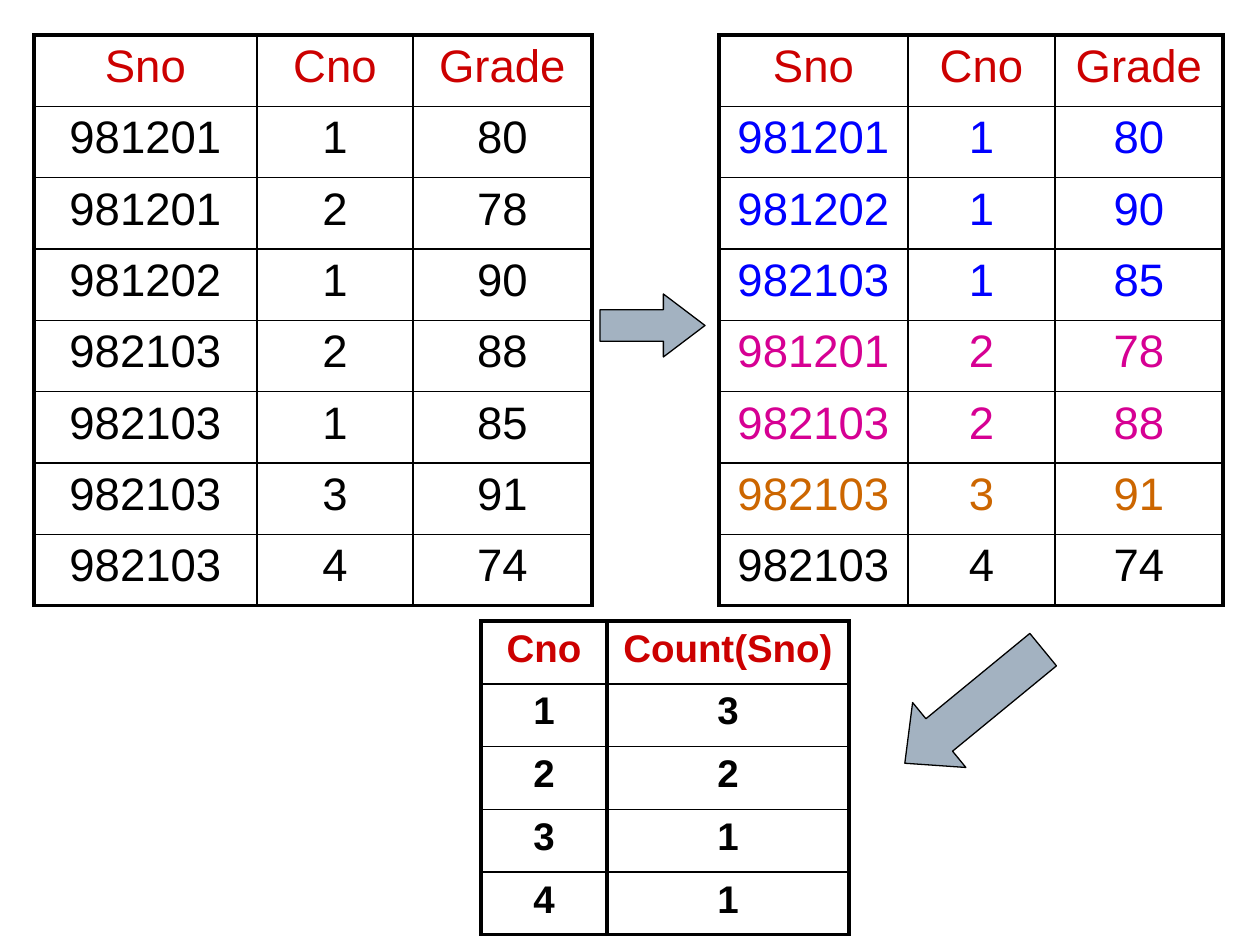
from dataclasses import dataclass

import pptx
import pptx.dml.color
import pptx.enum.shapes
import pptx.enum.text
import pptx.oxml
import pptx.oxml.ns
import pptx.presentation
import pptx.slide
import pptx.util

RGBColor = pptx.dml.color.RGBColor
MSO_SHAPE = pptx.enum.shapes.MSO_SHAPE

PX_PER_INCH = 126
SLIDE_WIDTH, SLIDE_HEIGHT = 1260, 945

BLACK = RGBColor(0x00, 0x00, 0x00)
RED = RGBColor(0xCC, 0x00, 0x00)
BLUE = RGBColor(0x00, 0x00, 0xFF)
MAGENTA = RGBColor(0xD6, 0x00, 0x93)
ORANGE = RGBColor(0xCC, 0x66, 0x00)
STEEL = RGBColor(0xA3, 0xB2, 0xC1)

THICK, THIN = 2.25, 1


def px(length: int) -> pptx.util.Emu:
    return pptx.util.Emu(round(length * pptx.util.Inches(1) / PX_PER_INCH))


@dataclass(frozen=True)
class Row:
    values: tuple[str, ...]
    color: RGBColor = BLACK


@dataclass(frozen=True)
class Grid:
    left: int
    top: int
    height: int
    columns: tuple[int, ...]
    rows: tuple[Row, ...]
    size: int = 26
    bold: bool = False
    divider: float = THIN


@dataclass(frozen=True)
class BlockArrow:
    kind: MSO_SHAPE
    left: int
    top: int
    width: int
    height: int
    head: float
    rotation: float = 0


# Content
GRADE_HEADER = Row(("Sno", "Cno", "Grade"), RED)

GRADES = Grid(34, 35, 571, (223, 156, 179), (
    GRADE_HEADER,
    Row(("981201", "1", "80")),
    Row(("981201", "2", "78")),
    Row(("981202", "1", "90")),
    Row(("982103", "2", "88")),
    Row(("982103", "1", "85")),
    Row(("982103", "3", "91")),
    Row(("982103", "4", "74")),
))

GROUPED_GRADES = Grid(719, 35, 571, (189, 147, 168), (
    GRADE_HEADER,
    Row(("981201", "1", "80"), BLUE),
    Row(("981202", "1", "90"), BLUE),
    Row(("982103", "1", "85"), BLUE),
    Row(("981201", "2", "78"), MAGENTA),
    Row(("982103", "2", "88"), MAGENTA),
    Row(("982103", "3", "91"), ORANGE),
    Row(("982103", "4", "74")),
))

COUNTS = Grid(481, 621, 314, (126, 242), (
    Row(("Cno", "Count(Sno)"), RED),
    Row(("1", "3")),
    Row(("2", "2")),
    Row(("3", "1")),
    Row(("4", "1")),
), size=22, bold=True, divider=THICK)

ARROWS = (
    BlockArrow(MSO_SHAPE.RIGHT_ARROW, 600, 294, 105, 63, head=0.66),
    BlockArrow(MSO_SHAPE.DOWN_ARROW, 932, 617, 84, 179, head=0.53, rotation=50.6),
)


def write_text(cell, text: str, *, size: int, color: RGBColor, bold: bool = False,
               font: str = "Arial") -> None:
    para = cell.text_frame.paragraphs[0]
    para.alignment = pptx.enum.text.PP_ALIGN.CENTER
    span = para.add_run()
    span.text = text
    span.font.name = font
    span.font.size = pptx.util.Pt(size)
    span.font.bold = bold
    span.font.color.rgb = color


def set_borders(cell, left: float, right: float, top: float, bottom: float) -> None:
    properties = cell._tc.get_or_add_tcPr()
    for side, width in zip("LRTB", (left, right, top, bottom)):
        properties.append(pptx.oxml.parse_xml(
            f'<a:ln{side} {pptx.oxml.ns.nsdecls("a")} w="{pptx.util.Pt(width)}">'
            f'<a:solidFill><a:srgbClr val="{BLACK}"/></a:solidFill></a:ln{side}>'))


def draw_grid(page: pptx.slide.Slide, grid: Grid) -> None:
    last_row, last_column = len(grid.rows) - 1, len(grid.columns) - 1
    table = page.shapes.add_table(
        len(grid.rows), len(grid.columns), px(grid.left), px(grid.top),
        px(sum(grid.columns)), px(grid.height)).table
    table.first_row = table.horz_banding = False
    for column, width in zip(table.columns, grid.columns):
        column.width = px(width)
    for r, row in enumerate(grid.rows):
        for c, value in enumerate(row.values):
            cell = table.cell(r, c)
            set_borders(cell,
                        left=THICK if c == 0 else grid.divider,
                        right=THICK if c == last_column else grid.divider,
                        top=THICK if r == 0 else THIN,
                        bottom=THICK if r == last_row else THIN)
            cell.fill.background()
            write_text(cell, value, size=grid.size, color=row.color, bold=grid.bold)


def draw_arrow(page: pptx.slide.Slide, arrow: BlockArrow) -> None:
    shape = page.shapes.add_shape(
        arrow.kind, px(arrow.left), px(arrow.top), px(arrow.width), px(arrow.height))
    shape.adjustments[0] = 0.5
    shape.adjustments[1] = arrow.head
    shape.rotation = arrow.rotation
    shape.shadow.inherit = False
    shape.fill.solid()
    shape.fill.fore_color.rgb = STEEL
    shape.line.color.rgb = BLACK
    shape.line.width = pptx.util.Pt(0.75)


def main() -> None:
    deck = pptx.Presentation()
    deck.slide_width, deck.slide_height = px(SLIDE_WIDTH), px(SLIDE_HEIGHT)
    page = deck.slides.add_slide(deck.slide_layouts[6])

    # Source grades, counts per course, grades grouped by course
    for grid in (GRADES, COUNTS, GROUPED_GRADES):
        draw_grid(page, grid)

    # Steps between the tables
    for arrow in ARROWS:
        draw_arrow(page, arrow)

    deck.save("out.pptx")


if __name__ == "__main__":
    main()
